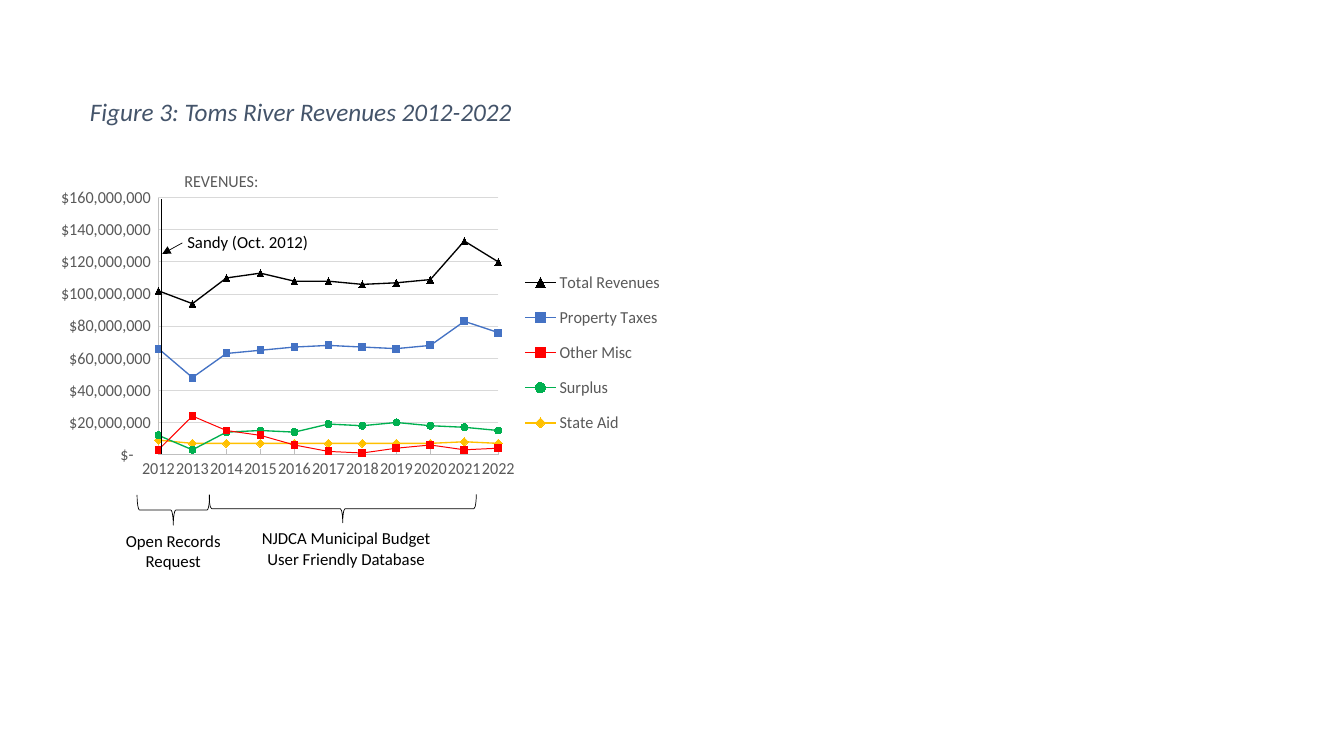
from lxml import etree
from pptx import Presentation
from pptx.chart.data import XyChartData
from pptx.dml.color import RGBColor
from pptx.enum.chart import XL_CHART_TYPE, XL_LEGEND_POSITION, XL_MARKER_STYLE, XL_TICK_MARK
from pptx.enum.shapes import MSO_CONNECTOR, MSO_SHAPE
from pptx.enum.text import MSO_ANCHOR, MSO_AUTO_SIZE, PP_ALIGN
from pptx.oxml.ns import qn
from pptx.util import Pt

LEFT, CENTER = PP_ALIGN.LEFT, PP_ALIGN.CENTER
TRIANGLE, SQUARE = XL_MARKER_STYLE.TRIANGLE, XL_MARKER_STYLE.SQUARE
CIRCLE, DIAMOND = XL_MARKER_STYLE.CIRCLE, XL_MARKER_STYLE.DIAMOND
TICK_NONE, TICK_INSIDE = XL_TICK_MARK.NONE, XL_TICK_MARK.INSIDE

FONT = "Calibri"
COLORS = {
    "black": "000000", "title": "44546A", "label": "595959", "axis": "BFBFBF",
    "grid": "D9D9D9", "blue": "4472C4", "red": "FF0000", "green": "00B050",
    "gold": "FFC000",
}
DOLLARS = '_("$"* #,##0_);_("$"* (#,##0);_("$"* "-"??_);_(@_)'
YEARS = range(2012, 2023)
MILLION = 1_000_000

# Name, colour, line width, marker, marker size, revenues in millions
REVENUES = [
    ("Total Revenues", "black", 1, TRIANGLE, 5,
     [102, 94, 110, 113, 108, 108, 106, 107, 109, 133, 120]),
    ("Property Taxes", "blue", 1, SQUARE, 5,
     [66, 48, 63, 65, 67, 68, 67, 66, 68, 83, 76]),
    ("Other Misc", "red", 0.75, SQUARE, 5,
     [3, 24, 15, 12, 6, 2, 1, 4, 6, 3, 4]),
    ("Surplus", "green", 1, CIRCLE, 5,
     [12, 3, 14, 15, 14, 19, 18, 20, 18, 17, 15]),
    ("State Aid", "gold", 1, DIAMOND, 6,
     [9, 7, 7, 7, 7, 7, 7, 7, 7, 8, 7]),
]


def rgb(name):
    return RGBColor.from_string(COLORS[name])


def set_font(font, color, size=12, italic=False):
    font.name, font.size = FONT, Pt(size)
    font.bold, font.italic = False, italic
    font.color.rgb = rgb(color)


def set_line(line, color, width):
    line.color.rgb = rgb(color)
    line.width = Pt(width)


def set_layout(parent, index, x, y, w=None, h=None, inner=False):
    """Place a chart part by fractions of the chart's size."""
    for old in parent.findall(qn("c:layout")):
        parent.remove(old)
    layout = etree.Element(qn("c:layout"))
    manual = etree.SubElement(layout, qn("c:manualLayout"))
    items = [("xMode", "edge"), ("yMode", "edge"), ("x", x), ("y", y), ("w", w), ("h", h)]
    if inner:
        items.insert(0, ("layoutTarget", "inner"))
    for tag, value in items:
        if value is not None:
            etree.SubElement(manual, qn("c:" + tag)).set("val", str(value))
    parent.insert(index, layout)


def format_axis(axis, low, high, step, number_format, tick):
    axis.minimum_scale, axis.maximum_scale, axis.major_unit = low, high, step
    axis.major_tick_mark, axis.minor_tick_mark = tick, TICK_NONE
    axis.tick_labels.number_format = number_format
    axis.tick_labels.number_format_is_linked = False
    set_font(axis.tick_labels.font, "label")
    set_line(axis.format.line, "axis", 0.75)


def add_revenue_chart(slide, x, y, w, h):
    data = XyChartData()
    for name, *_, millions in REVENUES:
        series = data.add_series(name)
        for year, value in zip(YEARS, millions):
            series.add_data_point(year, value * MILLION)
    chart = slide.shapes.add_chart(
        XL_CHART_TYPE.XY_SCATTER_LINES, Pt(x), Pt(y), Pt(w), Pt(h), data).chart
    set_font(chart.font, "black")
    plot = chart.plots[0]
    plot.vary_by_categories = False
    set_layout(chart.element.find(".//" + qn("c:plotArea")), 0,
               0.131, 0.102, 0.576, 0.552, inner=True)

    # Series
    for series, (_, color, width, marker, size, _) in zip(plot.series, REVENUES):
        series.smooth = False
        set_line(series.format.line, color, width)
        series.marker.style, series.marker.size = marker, size
        series.marker.format.fill.solid()
        series.marker.format.fill.fore_color.rgb = rgb(color)
        set_line(series.marker.format.line, color, 0.75)

    # Axes
    years, dollars = chart.category_axis, chart.value_axis
    format_axis(years, YEARS[0], YEARS[-1], 1, "0", TICK_INSIDE)
    format_axis(dollars, 0, 160 * MILLION, 20 * MILLION, DOLLARS, TICK_NONE)
    years.has_major_gridlines = False
    dollars.has_major_gridlines = True
    set_line(dollars.major_gridlines.format.line, "grid", 0.75)

    # Chart title and legend
    p = chart.chart_title.text_frame.paragraphs[0]
    p.text = "REVENUES:"
    set_font(p.font, "label")
    title = chart.chart_title.element if hasattr(chart.chart_title, "element") \
        else chart.element.find(".//" + qn("c:title"))
    set_layout(title, 1, 0.17, 0.035)
    chart.has_legend = True
    legend = chart.legend
    legend.position, legend.include_in_layout = XL_LEGEND_POSITION.RIGHT, False
    set_font(legend.font, "label")
    set_layout(legend._element, 1, 0.755, 0.23, 0.23, 0.41)


def set_title(slide, text, x, y, w, h):
    sp = slide.shapes.title
    sp.left, sp.top, sp.width, sp.height = Pt(x), Pt(y), Pt(w), Pt(h)
    tf = sp.text_frame
    tf.text = text
    tf.word_wrap, tf.auto_size = True, MSO_AUTO_SIZE.NONE
    tf.vertical_anchor = MSO_ANCHOR.TOP
    p = tf.paragraphs[0]
    p.alignment = LEFT
    set_font(p.font, "title", 18, italic=True)


def add_label(slide, lines, x, y, w, h, align=CENTER):
    tf = slide.shapes.add_textbox(Pt(x), Pt(y), Pt(w), Pt(h)).text_frame
    tf.word_wrap = False
    tf.text = "\n".join(lines)
    for p in tf.paragraphs:
        p.alignment = align
        set_font(p.font, "black")


def add_brace(slide, x, y, w, h):
    """Draw a brace opening upwards that fills the given box."""
    left, top = x + (w - h) / 2, y + (h - w) / 2
    sp = slide.shapes.add_shape(MSO_SHAPE.LEFT_BRACE, Pt(left), Pt(top), Pt(h), Pt(w))
    sp.rotation = 270
    sp.shadow.inherit = False
    sp.fill.background()
    set_line(sp.line, "black", 0.5)


def add_line(slide, x1, y1, x2, y2, arrow=False):
    line = slide.shapes.add_connector(MSO_CONNECTOR.STRAIGHT, Pt(x1), Pt(y1), Pt(x2), Pt(y2))
    set_line(line.line, "black", 0.5)
    if arrow:
        etree.SubElement(line.line._get_or_add_ln(), qn("a:tailEnd")).set("type", "triangle")
    etree.SubElement(line._element.spPr, qn("a:effectLst"))


def main():
    prs = Presentation()
    prs.slide_width, prs.slide_height = Pt(960), Pt(540)
    slide = prs.slides.add_slide(prs.slide_layouts[5])

    set_title(slide, "Figure 3: Toms River Revenues 2012-2022", 57, 65, 480, 29)
    add_revenue_chart(slide, 41, 107.3, 438.5, 332.6)

    # Data sources under the years
    add_brace(slide, 97.9, 353.5, 51.8, 21.6)
    add_label(slide, ["Open Records", "Request"], 80.6, 375.5, 86.4, 36)
    add_brace(slide, 149.4, 353.2, 190.8, 20.2)
    add_label(slide, ["NJDCA Municipal Budget", "User Friendly Database"], 179.3, 373.7, 136, 36)

    # Sandy marker
    add_line(slide, 115.2, 324, 115.2, 141.8)
    add_line(slide, 130.3, 173.5, 115.9, 181.4, arrow=True)
    add_label(slide, ["Sandy (Oct. 2012)"], 126.7, 162, 105, 21.6, LEFT)

    prs.save("out.pptx")


if __name__ == "__main__":
    main()
